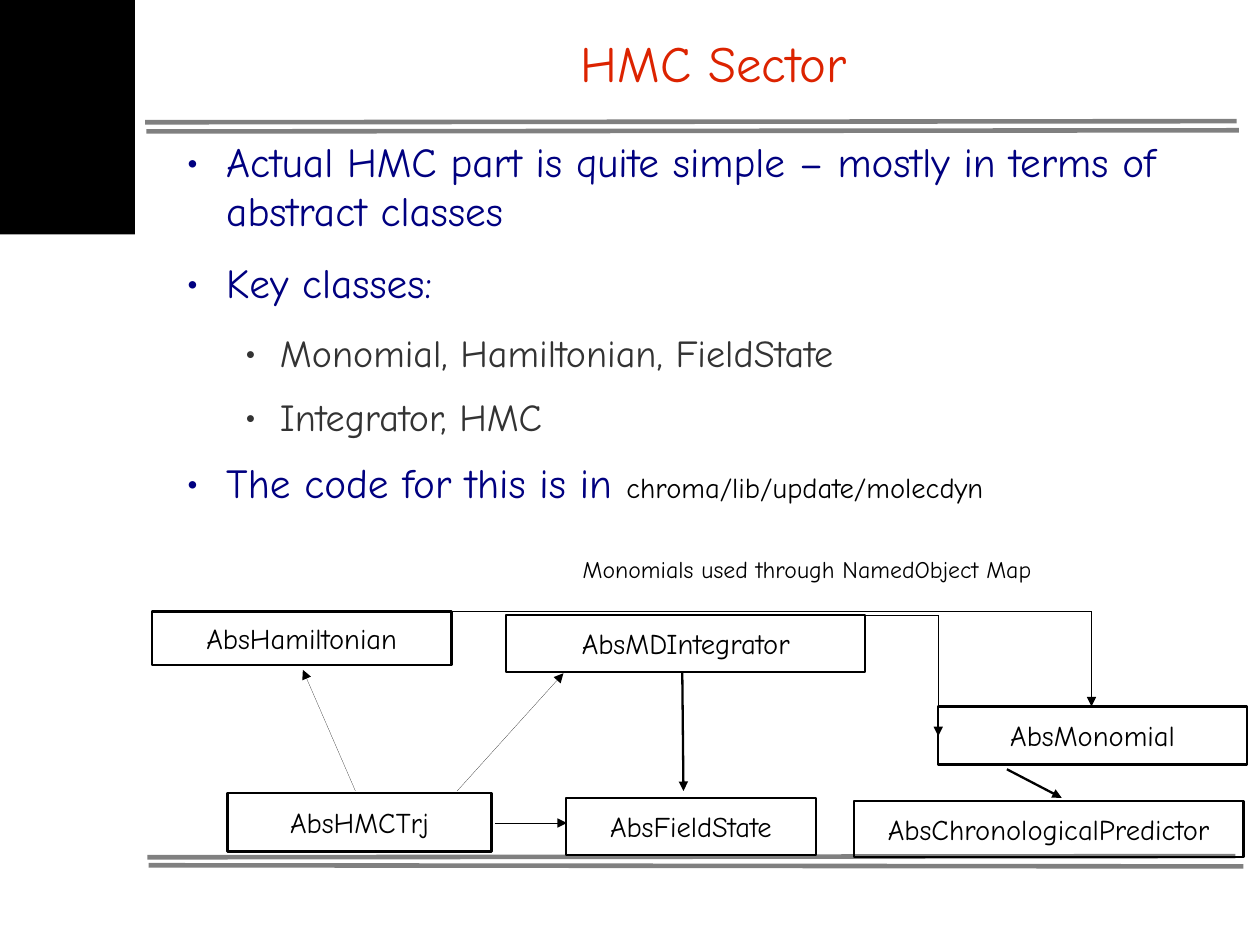
from dataclasses import dataclass

from lxml.etree import SubElement
from pptx import Presentation
from pptx.dml.color import RGBColor
from pptx.enum.shapes import MSO_CONNECTOR, MSO_SHAPE
from pptx.enum.text import MSO_ANCHOR, PP_ALIGN
from pptx.oxml.ns import qn
from pptx.util import Emu, Pt

PX = 9144  # EMU in one px, at 100 px to the inch
PAGE_SIZE = (Emu(10080625), Emu(7559675))  # 28 by 21 cm
FONT = "Comic Neue"
COLORS = {
    "title": "DC2300",
    "point": "000080",
    "subpoint": "333333",
    "ink": "000000",
    "rule": "808080",
}


@dataclass(frozen=True)
class Line:
    start: tuple[int, int]
    end: tuple[int, int]
    width: float
    color: str = "ink"
    arrow: bool = True
    bent: bool = False


@dataclass(frozen=True)
class ClassBox:
    name: str
    left: int
    top: int
    width: int
    height: int


@dataclass(frozen=True)
class Level:
    size: int
    color: str
    left: int
    hanging: int
    space_after: float


@dataclass(frozen=True)
class Bullet:
    text: str
    level: int = 0
    code: str = ""


RULES = [
    Line((127, 107), (1082, 106), 2.89, "rule", arrow=False),
    Line((128, 115), (1084, 114), 2.89, "rule", arrow=False),
    Line((129, 750), (1081, 749), 2.89, "rule", arrow=False),
    Line((130, 757), (1088, 758), 2.89, "rule", arrow=False),
]
LEVELS = [
    Level(26, "point", 47, 35, 14.2),
    Level(24, "subpoint", 94, 31, 11.3),
]
BULLETS = [
    Bullet("Actual HMC part is quite simple – mostly in terms of abstract classes"),
    Bullet("Key classes:"),
    Bullet("Monomial, Hamiltonian, FieldState", 1),
    Bullet("Integrator, HMC", 1),
    Bullet("The code for this is in ", code="chroma/lib/update/molecdyn"),
]
CLASS_BOXES = [
    ClassBox("AbsMonomial", 821, 618, 270, 51),
    ClassBox("AbsHamiltonian", 133, 535, 262, 47),
    ClassBox("AbsFieldState", 495, 698, 219, 50),
    ClassBox("AbsMDIntegrator", 443, 538, 314, 50),
    ClassBox("AbsHMCTrj", 199, 694, 231, 51),
    ClassBox("AbsChronologicalPredictor", 747, 701, 341, 49),
]
ARROWS = [
    Line((597, 589), (598, 692), 1.45),
    Line((881, 673), (929, 698), 1.45),
    Line((601, 538), (821, 644), 0, bent=True),
    Line((264, 535), (955, 618), 0, bent=True),
    Line((311, 692), (265, 586), 0),
    Line((400, 692), (493, 589), 0),
    Line((433, 720), (496, 720), 0),
]


def rgb(color: str) -> RGBColor:
    return RGBColor.from_string(COLORS[color])


def add_span(para, text: str, *, size: int, color: str) -> None:
    span = para.add_run()
    span.text = text
    span.font.name = FONT
    span.font.size = Pt(size)
    span.font.color.rgb = rgb(color)


def set_frame(frame, *, anchor=MSO_ANCHOR.TOP, inset: tuple[int, int] = (0, 0)) -> None:
    frame.word_wrap = True
    frame.vertical_anchor = anchor
    frame.margin_left = frame.margin_right = inset[0] * PX
    frame.margin_top = frame.margin_bottom = inset[1] * PX


def add_text(page, text: str, *, left: int, top: int, width: int, height: int,
             size: int, color: str = "ink", align=PP_ALIGN.LEFT,
             anchor=MSO_ANCHOR.TOP, inset: tuple[int, int] = (0, 0)) -> None:
    box = page.shapes.add_textbox(left * PX, top * PX, width * PX, height * PX)
    set_frame(box.text_frame, anchor=anchor, inset=inset)
    para = box.text_frame.paragraphs[0]
    para.alignment = align
    add_span(para, text, size=size, color=color)


def add_line(page, line: Line) -> None:
    points = [value * PX for value in (*line.start, *line.end)]
    kind = MSO_CONNECTOR.ELBOW if line.bent else MSO_CONNECTOR.STRAIGHT
    connector = page.shapes.add_connector(kind, *points)
    connector.line.color.rgb = rgb(line.color)
    properties = connector._element.spPr
    outline = properties.find(qn("a:ln"))
    # Written directly, as a zero width (hairline) is otherwise dropped
    outline.set("w", str(int(Pt(line.width))))
    if line.bent:
        # One corner: across, then down
        properties.find(qn("a:prstGeom")).set("prst", "bentConnector2")
    if line.arrow:
        SubElement(outline, qn("a:tailEnd"), type="triangle")
    SubElement(properties, qn("a:effectLst"))


def add_class_box(page, item: ClassBox) -> None:
    box = page.shapes.add_shape(MSO_SHAPE.RECTANGLE, item.left * PX, item.top * PX,
                                item.width * PX, item.height * PX)
    box.shadow.inherit = False
    box.fill.background()
    box.line.color.rgb = rgb("ink")
    box.line.width = Pt(1.45)
    set_frame(box.text_frame, anchor=MSO_ANCHOR.MIDDLE, inset=(11, 6))
    box.text_frame.word_wrap = False
    para = box.text_frame.paragraphs[0]
    para.alignment = PP_ALIGN.CENTER
    add_span(para, item.name, size=18, color="ink")


def add_bullets(page, bullets: list[Bullet]) -> None:
    box = page.shapes.add_textbox(151 * PX, 119 * PX, 934 * PX, 392 * PX)
    frame = box.text_frame
    set_frame(frame)
    for index, bullet in enumerate(bullets):
        para = frame.add_paragraph() if index else frame.paragraphs[0]
        level = LEVELS[bullet.level]
        properties = para._p.get_or_add_pPr()
        properties.set("marL", str(level.left * PX))
        properties.set("indent", str(-level.hanging * PX))
        SubElement(properties, qn("a:buFont"), typeface=FONT)
        SubElement(properties, qn("a:buChar"), char="•")
        para.level = bullet.level
        para.space_after = Pt(level.space_after)
        add_span(para, bullet.text, size=level.size, color=level.color)
        if bullet.code:
            add_span(para, bullet.code, size=18, color="ink")


def add_corner_block(page) -> None:
    block = page.shapes.add_shape(MSO_SHAPE.RECTANGLE, 0, 0, 118 * PX, 205 * PX)
    block.shadow.inherit = False
    block.fill.solid()
    block.fill.fore_color.rgb = rgb("ink")
    block.line.fill.background()


def main() -> None:
    deck = Presentation()
    deck.slide_width, deck.slide_height = PAGE_SIZE
    page = deck.slides.add_slide(deck.slide_layouts[6])
    for rule in RULES:
        add_line(page, rule)
    add_corner_block(page)
    add_text(page, "HMC Sector", left=157, top=11, width=935, height=87, size=32,
             color="title", align=PP_ALIGN.CENTER, anchor=MSO_ANCHOR.MIDDLE)
    add_bullets(page, BULLETS)
    for item in CLASS_BOXES:
        add_class_box(page, item)
    for arrow in ARROWS:
        add_line(page, arrow)
    add_text(page, "Monomials used through NamedObject Map", left=500, top=480,
             width=508, height=39, size=15, inset=(10, 5))
    deck.save("out.pptx")


if __name__ == "__main__":
    main()
